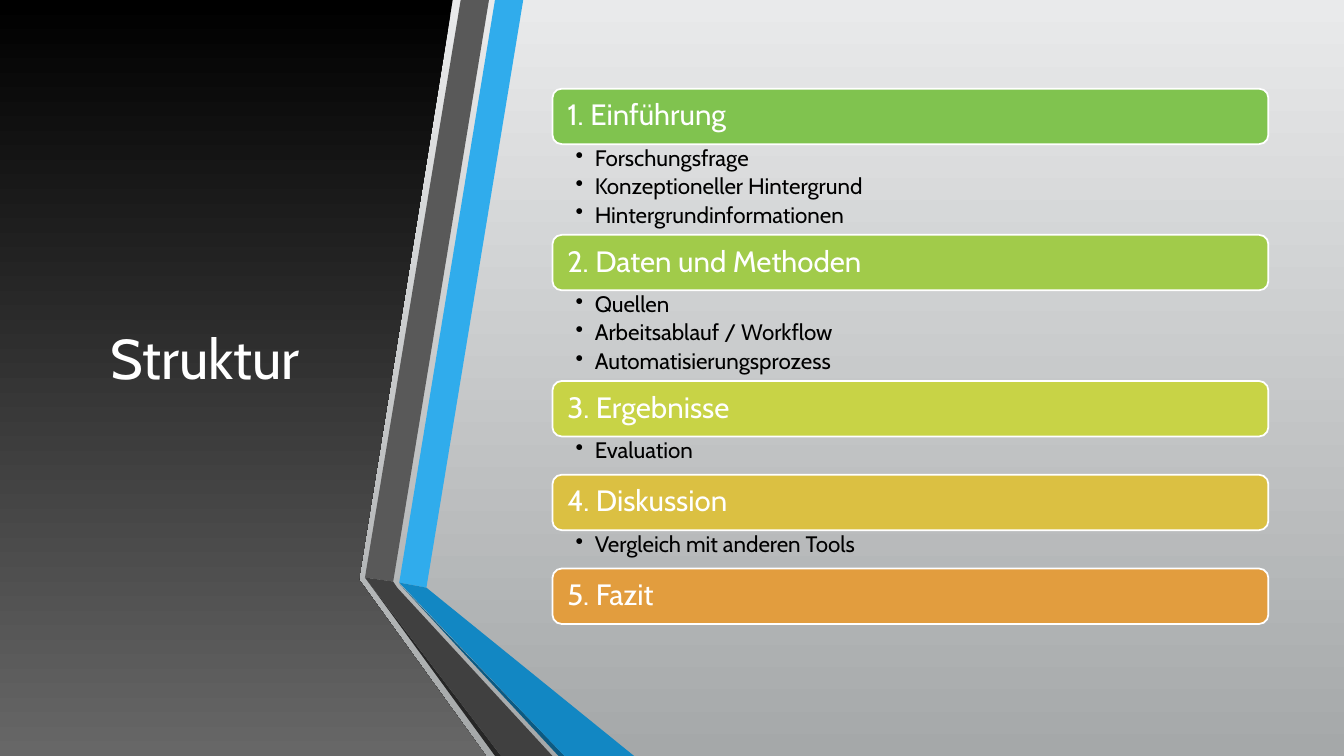
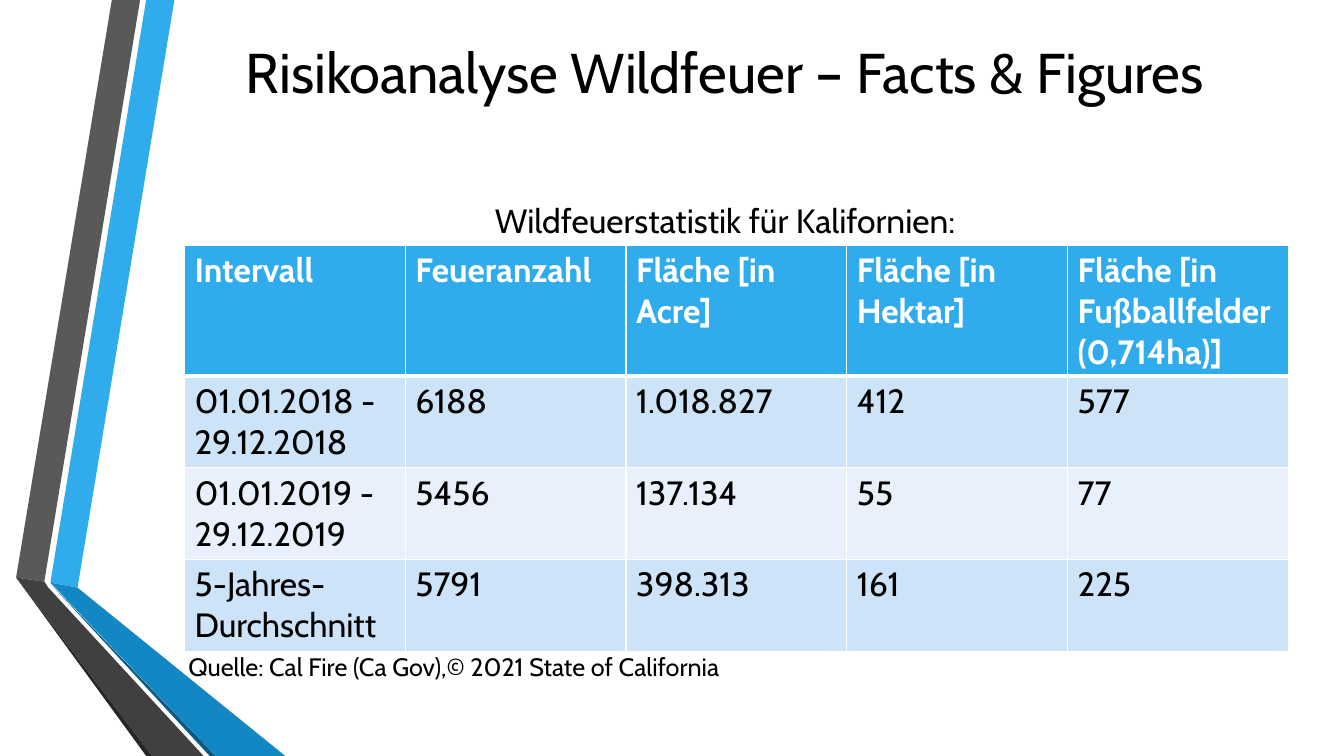
from dataclasses import dataclass
from lxml.etree import SubElement
from pptx import Presentation
from pptx.dml.color import RGBColor
from pptx.enum.shapes import MSO_SHAPE
from pptx.enum.text import MSO_ANCHOR, PP_ALIGN
from pptx.oxml.ns import qn
from pptx.util import Inches, Pt


@dataclass(frozen=True)
class Theme:
    font: str = "Cabin"
    title_size: int = 40
    table_size: int = 24
    section_size: int = 21
    source_size: int = 18
    bullet_size: int = 16
    black: str = "000000"
    white: str = "FFFFFF"
    blue: str = "30ACEC"
    blue_fold: str = "1287C3"
    blue_edge: str = "0C5A82"
    grey: str = "595959"
    grey_fold: str = "404040"
    grey_edge: str = "262626"
    panel_bottom: str = "676767"
    backdrop: tuple = ("E9EAEB", "A5A8A9")
    sections: tuple = ("80C34F", "A1CB4A", "C8D346", "DBC042", "E29D3E")
    bands: tuple = ("CDE3F8", "E8F1FB")


theme = Theme()


def write_run(paragraph, text, size, colour, bold=False):
    run = paragraph.add_run()
    run.text = text
    run.font.name = theme.font
    run.font.size = Pt(size)
    run.font.bold = bold
    run.font.color.rgb = RGBColor.from_string(colour)


def draw_polygon(slide, points, offset=0):
    corners = [(Inches(x + offset), Inches(y)) for x, y in points]
    builder = slide.shapes.build_freeform(*corners[0])
    builder.add_line_segments(corners[1:], close=True)
    shape = builder.convert_to_shape()
    shape.shadow.inherit = False
    shape.line.fill.background()
    return shape


presentation = Presentation()
presentation.slide_width = Inches(13.33)
presentation.slide_height = Inches(7.5)
blank = presentation.slide_layouts[6]
structure_slide = presentation.slides.add_slide(blank)
figures_slide = presentation.slides.add_slide(blank)

panel = draw_polygon(
    structure_slide, [(0, 0), (4.49, 0), (3.56, 5.75), (4.82, 7.5), (0, 7.5)])
for fill, colours in (
    (structure_slide.background.fill, theme.backdrop),
    (panel.fill, (theme.black, theme.panel_bottom)),
):
    fill.gradient()
    fill.gradient_angle = 270
    for stop, colour in zip(fill.gradient_stops, colours):
        stop.color.rgb = RGBColor.from_string(colour)

ribbon = (
    (theme.blue, [(0.5, 5.78), (0.77, 5.83), (1.73, 0), (1.45, 0)]),
    (theme.grey, [(1.39, 0), (1.11, 0), (0.16, 5.73), (0.44, 5.77)]),
    (theme.grey_edge, [(0.16, 5.73), (1.45, 7.5), (1.51, 7.5)]),
    (theme.blue_edge, [(0.5, 5.79), (2.08, 7.5), (2.14, 7.5)]),
    (theme.blue_fold, [(0.5, 5.78), (2.14, 7.5), (2.83, 7.5), (0.77, 5.83)]),
    (theme.grey_fold, [(2.02, 7.5), (0.48, 5.83), (0.44, 5.77), (0.16, 5.73), (1.51, 7.5)]),
)
for slide, offset in ((structure_slide, 3.46), (figures_slide, 0)):
    for colour, points in ribbon:
        shape = draw_polygon(slide, points, offset)
        shape.fill.solid()
        shape.fill.fore_color.rgb = RGBColor.from_string(colour)

labels = (
    (structure_slide, (0.59, 0.75, 2.89, 5.58), "Struktur",
     theme.title_size, theme.white, PP_ALIGN.CENTER, MSO_ANCHOR.MIDDLE),
    (figures_slide, (1.77, 0.07, 10.96, 1.27), "Risikoanalyse Wildfeuer – Facts & Figures ",
     theme.title_size, theme.black, PP_ALIGN.CENTER, MSO_ANCHOR.MIDDLE),
    (figures_slide, (4.81, 1.93, 5.28, 0.5), "Wildfeuerstatistik für Kalifornien:",
     theme.table_size, theme.black, PP_ALIGN.LEFT, MSO_ANCHOR.TOP),
    (figures_slide, (1.77, 6.41, 6.45, 0.4),
     "Quelle: Cal Fire (Ca Gov),© 2021 State of California",
     theme.source_size, theme.black, PP_ALIGN.LEFT, MSO_ANCHOR.TOP),
)
for slide, box, text, size, colour, alignment, anchor in labels:
    frame = slide.shapes.add_textbox(*map(Inches, box)).text_frame
    frame.word_wrap = True
    frame.vertical_anchor = anchor
    paragraph = frame.paragraphs[0]
    paragraph.alignment = alignment
    write_run(paragraph, text, size, colour)

sections = (
    ("1. Einführung",
     ("Forschungsfrage", "Konzeptioneller Hintergrund", "Hintergrundinformationen")),
    ("2. Daten und Methoden",
     ("Quellen", "Arbeitsablauf / Workflow", "Automatisierungsprozess")),
    ("3. Ergebnisse", ("Evaluation",)),
    ("4. Diskussion", ("Vergleich mit anderen Tools",)),
    ("5. Fazit", ()),
)
left, top, width, bar_height = 5.48, 0.88, 7.1, 0.55
for (heading, bullets), colour in zip(sections, theme.sections):
    bar = structure_slide.shapes.add_shape(
        MSO_SHAPE.ROUNDED_RECTANGLE,
        Inches(left), Inches(top), Inches(width), Inches(bar_height))
    bar.shadow.inherit = False
    bar.fill.solid()
    bar.fill.fore_color.rgb = RGBColor.from_string(colour)
    bar.line.color.rgb = RGBColor.from_string(theme.white)
    bar.line.width = Pt(1.25)
    frame = bar.text_frame
    frame.margin_left = Inches(0.12)
    frame.vertical_anchor = MSO_ANCHOR.MIDDLE
    paragraph = frame.paragraphs[0]
    paragraph.alignment = PP_ALIGN.LEFT
    paragraph.line_spacing = 0.9
    write_run(paragraph, heading, theme.section_size, theme.white)
    top += bar_height
    if bullets:
        list_height = 0.12 + 0.26 * len(bullets)
        frame = structure_slide.shapes.add_textbox(
            Inches(left), Inches(top), Inches(width), Inches(list_height)).text_frame
        frame.word_wrap = True
        frame.margin_left, frame.margin_right = Inches(0.23), Inches(0.16)
        frame.margin_top = frame.margin_bottom = Inches(0.03)
        for index, bullet in enumerate(bullets):
            paragraph = frame.add_paragraph() if index else frame.paragraphs[0]
            properties = paragraph._p.get_or_add_pPr()
            properties.set("marL", str(Inches(0.19)))
            properties.set("indent", str(-Inches(0.19)))
            SubElement(properties, qn("a:buChar"), char="•")
            paragraph.line_spacing = 0.9
            paragraph.space_after = Pt(3)
            write_run(paragraph, bullet, theme.bullet_size, theme.black)
        top += list_height

rows = (
    ("Intervall", "Feueranzahl", "Fläche [in Acre]", "Fläche [in Hektar]",
     "Fläche [in Fußballfelder (0,714ha)]"),
    ("01.01.2018 - 29.12.2018", "6188", "1.018.827", "412", "577"),
    ("01.01.2019 - 29.12.2019", "5456", "137.134", "55", "77"),
    ("5-Jahres-Durchschnitt", "5791", "398.313", "161", "225"),
)
table = figures_slide.shapes.add_table(
    len(rows), len(rows[0]), Inches(1.83), Inches(2.43), Inches(10.95), Inches(4.03)).table
for column in table.columns:
    column.width = Inches(2.19)
for row_index, values in enumerate(rows):
    is_header = row_index == 0
    table.rows[row_index].height = Inches(1.3 if is_header else 0.91)
    fill_colour = theme.blue if is_header else theme.bands[(row_index - 1) % 2]
    text_colour = theme.white if is_header else theme.black
    thick_side = {0: "a:lnB", 1: "a:lnT"}.get(row_index)
    for column_index, value in enumerate(values):
        cell = table.cell(row_index, column_index)
        properties = cell._tc.get_or_add_tcPr()
        for side in ("a:lnL", "a:lnR", "a:lnT", "a:lnB"):
            weight = Pt(3 if side == thick_side else 1)
            border = SubElement(properties, qn(side), w=str(weight))
            border_fill = SubElement(border, qn("a:solidFill"))
            SubElement(border_fill, qn("a:srgbClr"), val=theme.white)
        cell.fill.solid()
        cell.fill.fore_color.rgb = RGBColor.from_string(fill_colour)
        write_run(cell.text_frame.paragraphs[0], value, theme.table_size, text_colour, is_header)

presentation.save("out.pptx")
